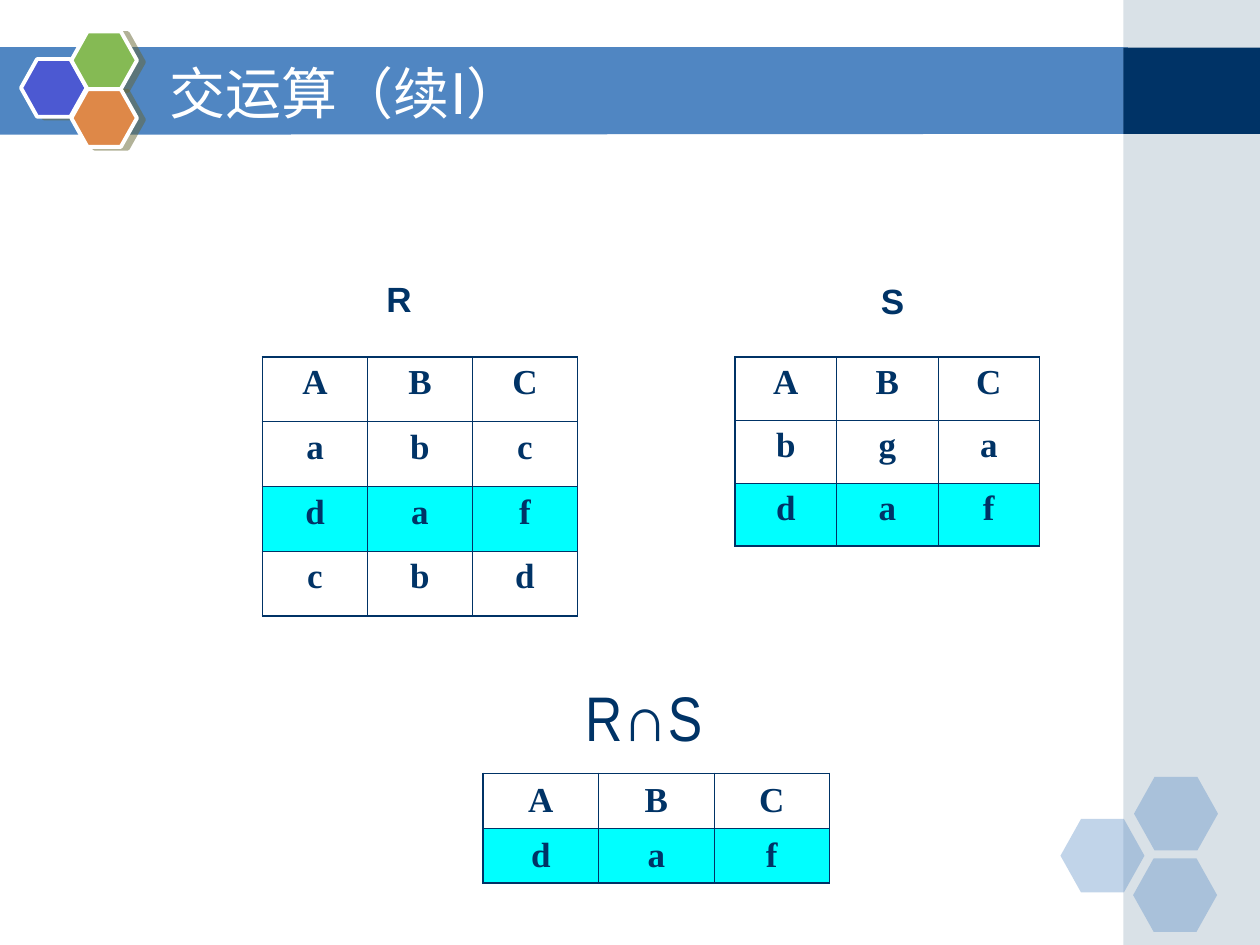
from lxml.etree import SubElement
from pptx import Presentation
from pptx.dml.color import RGBColor
from pptx.enum.shapes import MSO_SHAPE
from pptx.enum.text import MSO_ANCHOR, PP_ALIGN
from pptx.oxml import parse_xml
from pptx.oxml.ns import nsdecls, qn
from pptx.util import Pt


def rgb(value):
    return RGBColor.from_string(value)


class Deck:
    navy, blue, cyan, white = "003366", "5086C2", "00FFFF", "FFFFFF"
    outer, inner = 1.08, 0.45

    def __init__(self):
        self.prs = Presentation()
        self.prs.slide_width, self.prs.slide_height = Pt(720), Pt(540)
        self.s = self.prs.slides.add_slide(self.prs.slide_layouts[6])

    def paint(self, sp, color, alpha=None):
        sp.shadow.inherit = False
        sp.fill.solid()
        sp.fill.fore_color.rgb = rgb(color)
        sp.line.fill.background()
        if alpha:
            clr = sp._element.spPr.find(qn("a:solidFill"))[0]
            SubElement(clr, qn("a:alpha"), val=str(alpha * 1000))

    def band(self, points, color):
        (x, y), *rest = [(Pt(a), Pt(b)) for a, b in points]
        builder = self.s.shapes.build_freeform(x, y)
        builder.add_line_segments(rest, close=True)
        self.paint(builder.convert_to_shape(), color)

    def shape(self, kind, x, y, w, h, color, alpha=None):
        sp = self.s.shapes.add_shape(kind, Pt(x), Pt(y), Pt(w), Pt(h))
        self.paint(sp, color, alpha)
        return sp

    def hexagon(self, x, y, w, h, color, alpha=None):
        sp = self.shape(MSO_SHAPE.HEXAGON, x, y, w, h, color, alpha)
        sp.adjustments[0] = 0.28
        return sp

    def badge(self, x, y, color):
        sp = self.hexagon(x, y, 37.5, 33, color)
        sp.line.color.rgb = rgb(self.white)
        sp.line.width = Pt(2.25)
        effects = sp._element.spPr.find(qn("a:effectLst"))
        effects.append(parse_xml(
            f'<a:outerShdw {nsdecls("a")} dist="{Pt(4.1)}" dir="{14 * 60000}" '
            'algn="ctr" rotWithShape="0"><a:srgbClr val="666633">'
            '<a:alpha val="50000"/></a:srgbClr></a:outerShdw>'))

    def style(self, p, size, font, color, bold=False, align=PP_ALIGN.CENTER):
        p.alignment = align
        p.font.size, p.font.name, p.font.bold = Pt(size), font, bold
        p.font.color.rgb = rgb(color)

    def text(self, x, y, w, h, text, size, font, color, bold=False,
             align=PP_ALIGN.CENTER, anchor=MSO_ANCHOR.TOP):
        tf = self.s.shapes.add_textbox(Pt(x), Pt(y), Pt(w), Pt(h)).text_frame
        tf.word_wrap = True
        tf.vertical_anchor = anchor
        p = tf.paragraphs[0]
        p.text = text
        self.style(p, size, font, color, bold, align)

    def border(self, cell, edges):
        tcPr = cell._tc.get_or_add_tcPr()
        for side, is_outer in zip("LRTB", edges):
            width = self.outer if is_outer else self.inner
            tcPr.append(parse_xml(
                f'<a:ln{side} {nsdecls("a")} w="{Pt(width)}"><a:solidFill>'
                f'<a:srgbClr val="{self.navy}"/></a:solidFill></a:ln{side}>'))

    def table(self, x, y, col_w, row_h, rows, marked, anchor=MSO_ANCHOR.TOP):
        n, m = len(rows), len(rows[0])
        table = self.s.shapes.add_table(
            n, m, Pt(x), Pt(y), Pt(col_w * m), Pt(row_h * n)).table
        table.first_row = table.horz_banding = False
        for i, row in enumerate(rows):
            for j, value in enumerate(row):
                cell = table.cell(i, j)
                self.border(cell, (j == 0, j == m - 1, i == 0, i == n - 1))
                if i == marked:
                    cell.fill.solid()
                    cell.fill.fore_color.rgb = rgb(self.cyan)
                else:
                    cell.fill.background()
                cell.vertical_anchor = anchor
                p = cell.text_frame.paragraphs[0]
                p.text = value
                self.style(p, 20, "Times New Roman", self.navy, True)


def main():
    d = Deck()
    d.band([(-0.5, 27), (644.5, 27), (644.5, 76.5), (-0.5, 77)], d.blue)
    d.shape(MSO_SHAPE.RECTANGLE, 642, 0, 78, 540, "A0B5C4", 40)
    d.shape(MSO_SHAPE.RECTANGLE, 642, 27.25, 78, 49.25, d.navy)
    for x, y in ((606, 468), (648, 444), (647.5, 490.5)):
        d.hexagon(x, y, 48, 42, d.blue, 35)
    for x, y, color in ((12, 33.75, "4C59D2"), (40.75, 18, "85BA54"),
                        (40.75, 51, "DE8848")):
        d.badge(x, y, color)
    d.text(90, 30, 528, 45, "交运算（续I）", 32, "DejaVu Sans", d.white,
           align=PP_ALIGN.LEFT, anchor=MSO_ANCHOR.MIDDLE)
    d.table(276, 442, 66, 31.25, ["ABC", "daf"], 1, MSO_ANCHOR.MIDDLE)
    d.text(324, 384, 96, 50, "R∩S ", 36, "Arial Narrow", d.navy)
    d.table(150, 204, 60, 37, ["ABC", "abc", "daf", "cbd"], 2)
    d.table(420, 204, 58, 36, ["ABC", "bga", "daf"], 2)
    for x, y, name in ((186, 155, "R"), (468, 156, "S")):
        d.text(x, y, 84, 31.5, name, 20, "Arial", d.navy, True)
    d.prs.save("out.pptx")


if __name__ == "__main__":
    main()
